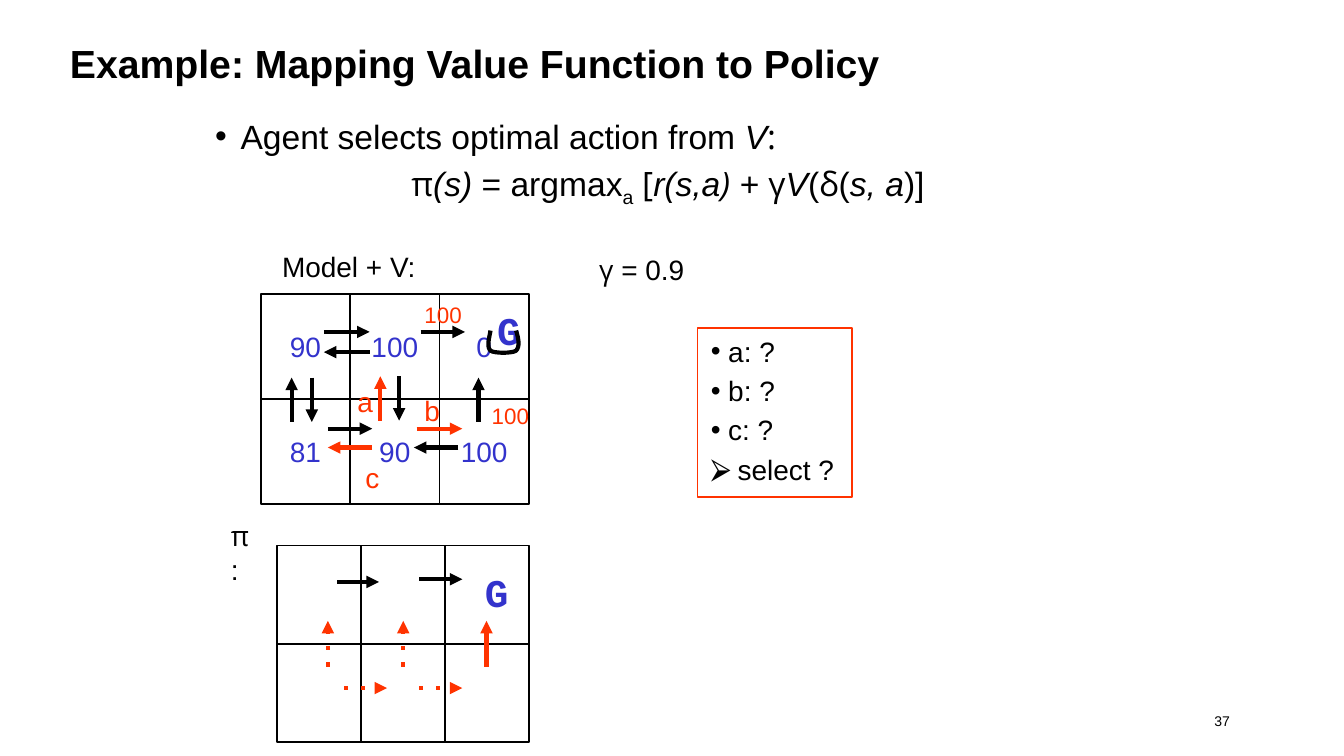
"""Build the slide that maps a value function to a policy."""
from lxml.etree import SubElement
from pptx import Presentation
from pptx.dml.color import RGBColor
from pptx.enum.shapes import MSO_CONNECTOR, MSO_SHAPE
from pptx.enum.text import MSO_ANCHOR, MSO_AUTO_SIZE, PP_ALIGN
from pptx.oxml.ns import qn
from pptx.util import Inches, Pt

BLACK = RGBColor(0x00, 0x00, 0x00)
BLUE = RGBColor(0x33, 0x33, 0xCC)
RED = RGBColor(0xFF, 0x33, 0x00)
SANS, GREEK, MONO = "Arial", "Open Sans", "Courier New"


class PolicySlide:
    """Hold the style and the slide, with a method for each kind of element."""

    def __init__(self, slide):
        self.slide = slide
        self.shapes = slide.shapes

    def style(self, paragraph, size, color=BLACK, name=SANS, bold=False):
        font = paragraph.font
        font.size, font.name, font.bold = Pt(size), name, bold
        font.color.rgb = color

    def runs(self, paragraph, parts):
        for text, name, italic in parts:
            run = paragraph.add_run()
            run.text = text
            run.font.name, run.font.italic = name, italic

    def bullet(self, paragraph, hanging, char=None):
        properties = paragraph._p.get_or_add_pPr()
        properties.set("marL", str(Inches(hanging)))
        properties.set("indent", str(-Inches(hanging)))
        if char:
            color = SubElement(properties, qn("a:buClr"))
            SubElement(color, qn("a:srgbClr")).set("val", str(BLACK))
            SubElement(properties, qn("a:buFont")).set("typeface", SANS)
            SubElement(properties, qn("a:buChar")).set("char", char)
        else:
            SubElement(properties, qn("a:buNone"))

    def place(self, placeholder, left, top, width, height):
        placeholder.left, placeholder.top = Inches(left), Inches(top)
        placeholder.width, placeholder.height = Inches(width), Inches(height)
        placeholder.text_frame.auto_size = MSO_AUTO_SIZE.NONE
        return placeholder.text_frame

    def title(self, text):
        frame = self.place(self.shapes.title, 0.42, 0.12, 8.5, 0.69)
        frame.text = text
        frame.vertical_anchor = MSO_ANCHOR.MIDDLE
        frame.paragraphs[0].alignment = PP_ALIGN.LEFT
        self.style(frame.paragraphs[0], 21, bold=True)

    def body(self, statement, formula):
        frame = self.place(self.slide.placeholders[1], 1.5, 0.81, 6.94, 1.94)
        frame.vertical_anchor = MSO_ANCHOR.TOP
        first, second = frame.paragraphs[0], frame.add_paragraph()
        self.bullet(first, 0.19, "•")
        self.bullet(second, 0)
        second.alignment = PP_ALIGN.CENTER
        for paragraph, parts, gap in ((first, statement, 0), (second, formula, 3.6)):
            paragraph.space_before = Pt(gap)
            self.style(paragraph, 18)
            self.runs(paragraph, parts)
        subscript = second.runs[3]
        subscript._r.get_or_add_rPr().set("baseline", "-25000")

    def label(self, parts, left, top, width, height=0.35, size=15, color=BLACK,
              bold=False, align=PP_ALIGN.LEFT):
        box = self.shapes.add_textbox(
            Inches(left), Inches(top), Inches(width), Inches(height))
        box.text_frame.word_wrap = True
        paragraph = box.text_frame.paragraphs[0]
        paragraph.alignment = align
        self.style(paragraph, size, color, parts[0][1], bold)
        if len(parts) == 1:
            paragraph.add_run().text = parts[0][0]
        else:
            self.runs(paragraph, parts)

    def goal(self, left, top):
        self.label([("G", MONO, False)], left, top, 0.38, 0.45, 21, BLUE, True)

    def box(self, left, top, width, height, color=BLACK, weight=1):
        shape = self.shapes.add_shape(
            MSO_SHAPE.RECTANGLE, Inches(left), Inches(top), Inches(width), Inches(height))
        shape.shadow.inherit = False
        shape.fill.background()
        shape.line.color.rgb, shape.line.width = color, Pt(weight)
        return shape.text_frame

    def grid(self, left, top, width, height, rows):
        for i, row in enumerate(rows):
            for j, value in enumerate(row):
                frame = self.box(left + j * width, top + i * height, width, height)
                if value:
                    frame.text = value
                    frame.vertical_anchor = MSO_ANCHOR.MIDDLE
                    frame.paragraphs[0].alignment = PP_ALIGN.CENTER
                    self.style(frame.paragraphs[0], 15, BLUE)

    def choices(self, items):
        frame = self.box(5.19, 2.44, 1.15, 1.26, RED, 0.75)
        frame.vertical_anchor = MSO_ANCHOR.TOP
        for i, (char, hanging, text) in enumerate(items):
            paragraph = frame.add_paragraph() if i else frame.paragraphs[0]
            paragraph.text = text
            paragraph.alignment = PP_ALIGN.LEFT
            self.bullet(paragraph, hanging, char)
            paragraph.space_before = Pt(3 if i else 0)
            self.style(paragraph, 15)

    def arrow(self, x1, y1, x2, y2, color=BLACK, dotted=False):
        connector = self.shapes.add_connector(
            MSO_CONNECTOR.STRAIGHT, Inches(x1), Inches(y1), Inches(x2), Inches(y2))
        connector.line.color.rgb, connector.line.width = color, Pt(2.25)
        properties = connector._element.spPr
        outline = properties.find(qn("a:ln"))
        if dotted:
            SubElement(outline, qn("a:prstDash")).set("val", "dot")
        SubElement(outline, qn("a:tailEnd")).set("type", "triangle")
        SubElement(properties, qn("a:effectLst"))

    def loop(self, start, curves, steps=8):
        points = []
        corner = start
        for curve in curves:
            controls = (corner, *curve)
            for step in range(1, steps + 1):
                t = step / steps
                weights = ((1 - t) ** 3, 3 * t * (1 - t) ** 2, 3 * t * t * (1 - t), t ** 3)
                points.append(tuple(
                    Inches(sum(w * point[axis] for w, point in zip(weights, controls)))
                    for axis in (0, 1)))
            corner = curve[-1]
        builder = self.shapes.build_freeform(Inches(start[0]), Inches(start[1]))
        builder.add_line_segments(points, close=False)
        outline = builder.convert_to_shape()
        outline.shadow.inherit = False
        outline.fill.background()
        outline.line.color.rgb, outline.line.width = BLACK, Pt(2.25)


def main():
    deck = Presentation()
    deck.slide_width, deck.slide_height = Inches(10), Inches(5.625)
    page = PolicySlide(deck.slides.add_slide(deck.slide_layouts[1]))

    page.title("Example: Mapping Value Function to Policy")
    page.body(
        [("Agent selects optimal action from ", SANS, False), ("V", SANS, True),
         (":", GREEK, False)],
        [("π", GREEK, False), ("(s)", SANS, True), (" = argmax", SANS, False),
         ("a", SANS, False), (" [", GREEK, False), ("r(s,a", SANS, True),
         (")", GREEK, True), (" + ", SANS, True), ("γ", GREEK, False),
         ("V", SANS, True), ("(", SANS, False), ("δ", GREEK, False),
         ("(", SANS, False), ("s, a", SANS, True), (")]", SANS, False)])
    page.label([("37", SANS, False)], 6.83, 5.25, 2.42, 0.25, 7.5, align=PP_ALIGN.RIGHT)

    page.grid(2.06, 4.06, 0.625, 0.73, [[""] * 3] * 2)
    page.goal(3.51, 4.18)
    page.grid(1.94, 2.19, 0.665, 0.78, [["90", "100", "0"], ["81", "90", "100"]])
    page.goal(3.6, 2.23)
    page.loop((3.65, 2.46), [((3.64, 2.52), (3.62, 2.58), (3.65, 2.61)),
                             ((3.68, 2.63), (3.81, 2.63), (3.84, 2.61)),
                             ((3.87, 2.58), (3.86, 2.52), (3.84, 2.46))])

    for x1, x2, y, color in (
            (2.41, 2.75, 2.47, BLACK), (2.75, 2.41, 2.62, BLACK),
            (3.13, 3.46, 2.47, BLACK), (3.41, 3.08, 3.33, BLACK),
            (2.44, 2.77, 3.19, BLACK), (2.77, 2.44, 3.33, RED),
            (3.1, 3.44, 3.19, RED), (2.51, 2.82, 4.33, BLACK),
            (3.12, 3.44, 4.31, BLACK)):
        page.arrow(x1, y, x2, y, color)
    for x, y1, y2, color in (
            (3.56, 3.14, 2.81, BLACK), (2.17, 3.14, 2.81, BLACK),
            (2.32, 2.81, 3.14, BLACK), (2.83, 3.13, 2.8, RED),
            (2.97, 2.8, 3.13, BLACK), (3.62, 4.96, 4.62, RED)):
        page.arrow(x, y1, x, y2, color)
    for x in (2.44, 3):
        page.arrow(x, 4.96, x, 4.62, RED, dotted=True)
        page.arrow(x + 0.12, 5.12, x + 0.44, 5.12, RED, dotted=True)

    for left, top in ((3.06, 2.19), (3.56, 2.94)):
        page.label([("100", SANS, False)], left, top, 0.49, 0.3, 12, RED)
    for action, left, top in (("a", 2.56, 2.81), ("b", 3.06, 2.88), ("c", 2.62, 3.38)):
        page.label([(action, SANS, False)], left, top, 0.32, color=RED)
    page.label([("Model + V:", SANS, False)], 2, 1.81, 1.21)
    page.label([("π", GREEK, False), (":", SANS, False)], 1.62, 3.81, 0.38)
    page.label([("γ", GREEK, False), (" = 0.9", SANS, False)], 4.36, 1.83, 1.32)
    page.choices([("•", 0.13, "a: ?"), ("•", 0.13, "b: ?"), ("•", 0.13, "c: ?"),
                  ("⮚", 0.2, "select ?")])
    deck.save("out.pptx")


if __name__ == "__main__":
    main()
